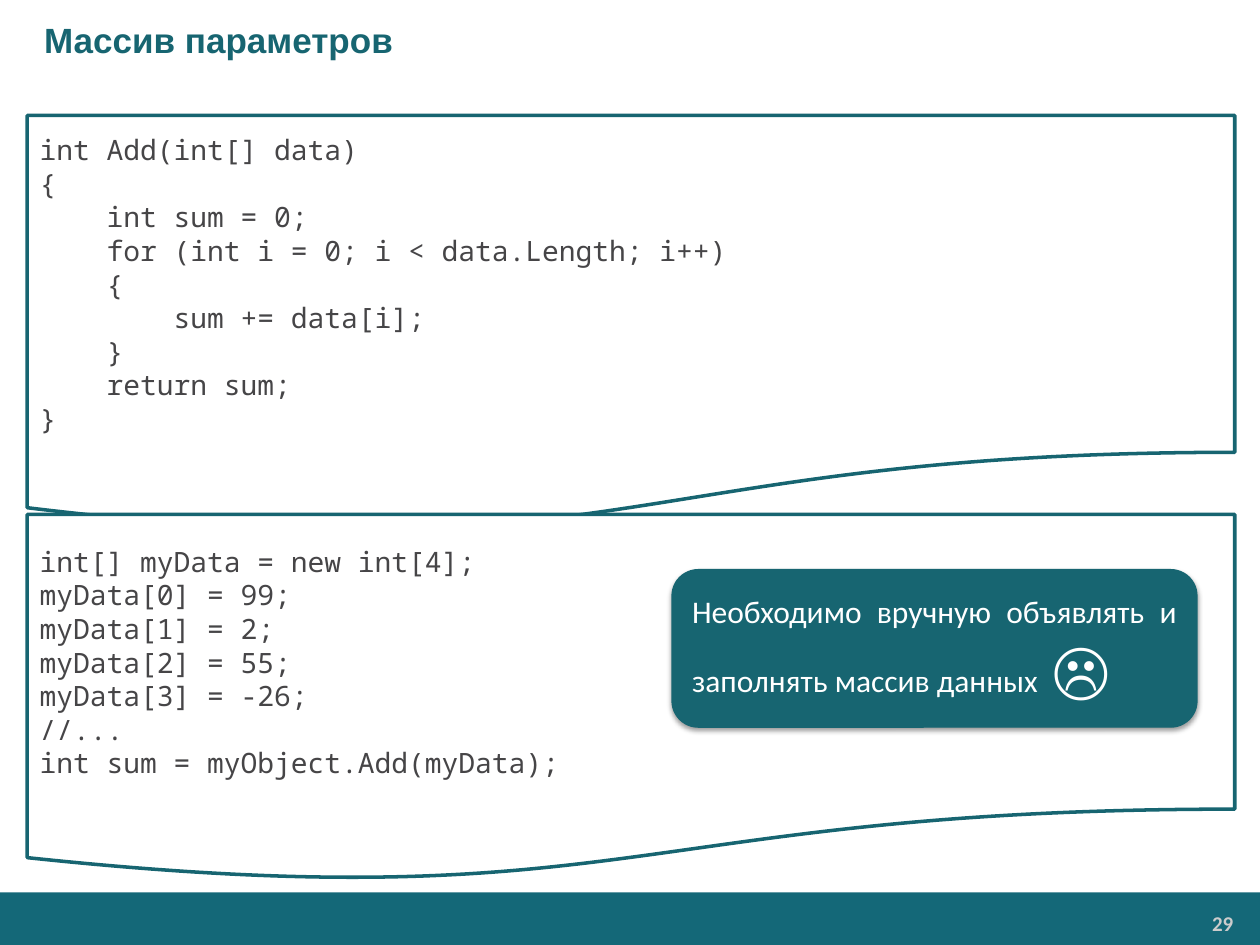
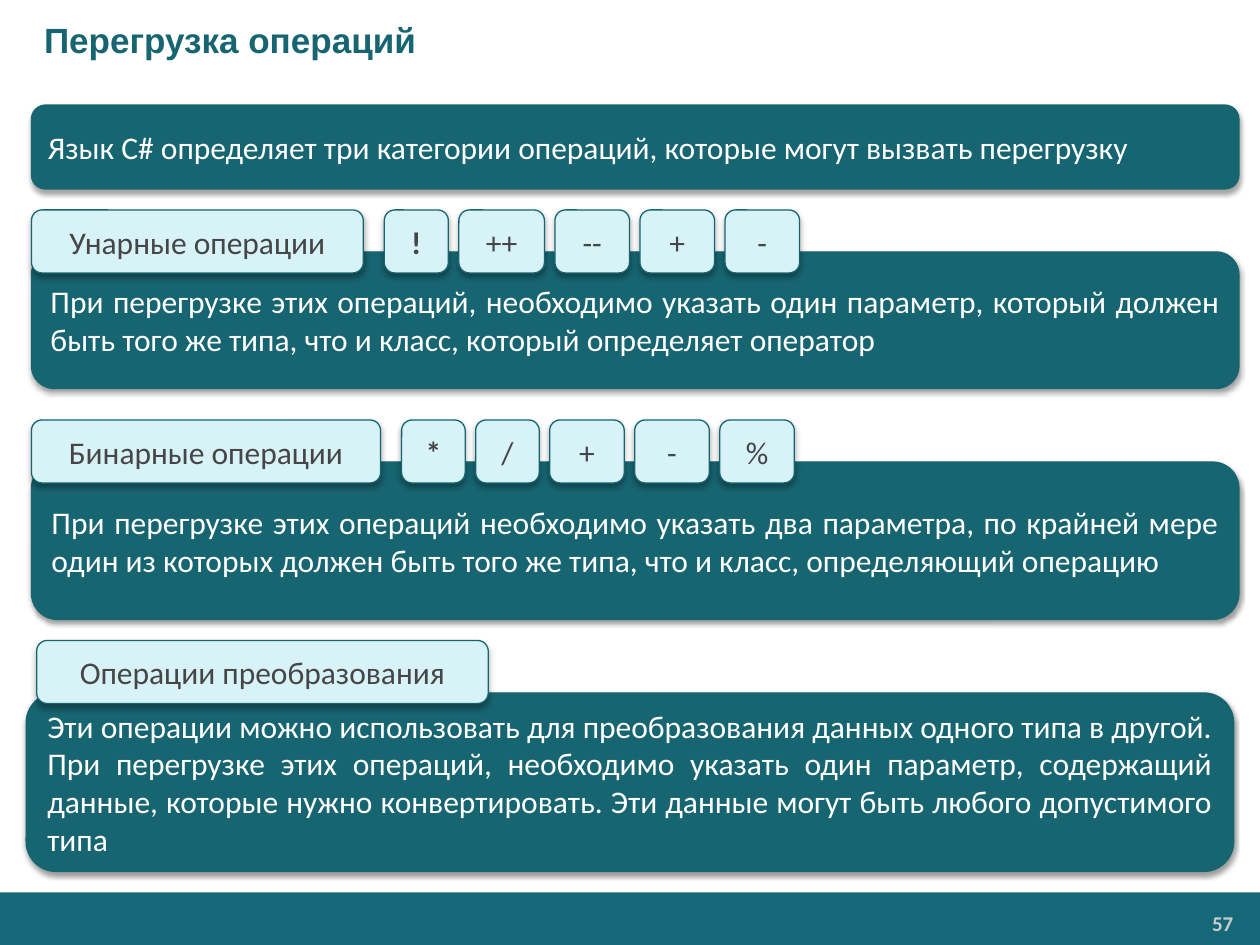
from typing import NamedTuple

from lxml.etree import SubElement
from pptx import Presentation
from pptx.dml.color import RGBColor
from pptx.enum.shapes import MSO_SHAPE
from pptx.enum.text import MSO_ANCHOR, MSO_AUTO_SIZE, PP_ALIGN
from pptx.oxml.ns import qn
from pptx.util import Inches, Pt

COLUMNS, ROWS = 120, 90
SLIDE_WIDTH, SLIDE_HEIGHT = Inches(10), Inches(7.5)

COLORS = {
    "teal": "176571",
    "band": "146878",
    "pale": "D7F3F7",
    "ink": "464547",
    "white": "FFFFFF",
    "number": "CCCCCC",
}
BANNER_SHADOW = (35, 3.1, 1.8)
CARD_SHADOW = (38, 3.1, 1.6)
CHIP_SHADOW = (32, 3.5, 2.2)

LABEL_HEIGHT = 6
LABEL_GAP = 2
CHIP_GAP = 1

ADD_METHOD = """int Add(int[] data)
{
    int sum = 0;
    for (int i = 0; i < data.Length; i++)
    {
        sum += data[i];
    }
    return sum;
}"""

ADD_CALL = """int[] myData = new int[4];
myData[0] = 99;
myData[1] = 2;
myData[2] = 55;
myData[3] = -26;
//...
int sum = myObject.Add(myData);"""


class Box(NamedTuple):
    column: float
    row: float
    width: float
    height: float

    def place(self):
        column, row = SLIDE_WIDTH / COLUMNS, SLIDE_HEIGHT / ROWS
        return (round(self.column * column), round(self.row * row),
                round(self.width * column), round(self.height * row))


class Category(NamedTuple):
    box: Box
    label: str
    label_width: float
    chips: list
    text: str
    label_shift: float = 0
    body_drop: float = 4


CATEGORIES = [
    Category(Box(3, 20, 115, 17), "Унарные операции", 31.6,
             [("!", 6.1), ("++", 8.15), ("--", 7.1), ("+", 7.1), ("-", 7.1)],
             "При перегрузке этих операций, необходимо указать один параметр, "
             "который должен быть того же типа, что и класс, который определяет оператор"),
    Category(Box(3, 40, 115, 19), "Бинарные операции", 33.25,
             [("*", 6.05), ("/", 6.05), ("+", 7.1), ("-", 7.1), ("%", 7.1)],
             "При перегрузке этих операций необходимо указать два параметра, "
             "по крайней мере один из которых должен быть того же типа, что и класс, "
             "определяющий операцию"),
    Category(Box(2.5, 61, 115, 22), "Операции преобразования", 43, [],
             "Эти операции можно использовать для преобразования данных одного типа "
             "в другой. При перегрузке этих операций, необходимо указать один параметр, "
             "содержащий данные, которые нужно конвертировать. Эти данные могут быть "
             "любого допустимого типа",
             label_shift=1, body_drop=5),
]


def color(name):
    return RGBColor.from_string(COLORS[name])


def add_run(paragraph, text, size, color_name, font="Calibri", bold=False):
    run = paragraph.add_run()
    run.text = text
    run.font.size = Pt(size)
    run.font.name = font
    run.font.bold = bold
    run.font.color.rgb = color(color_name)


def add_panel(shapes, kind, box, fill, line=None, line_width=0.75, shadow=None):
    shape = shapes.add_shape(kind, *box.place())
    shape.fill.solid()
    shape.fill.fore_color.rgb = color(fill)
    if line:
        shape.line.color.rgb = color(line)
        shape.line.width = Pt(line_width)
    else:
        shape.line.fill.background()
    shape.shadow.inherit = False
    if shadow:
        opacity, blur, distance = shadow
        effects = shape.element.spPr.find(qn("a:effectLst"))
        outer = SubElement(effects, qn("a:outerShdw"), blurRad=str(Pt(blur)),
                           dist=str(Pt(distance)), dir="5400000", rotWithShape="0")
        shade = SubElement(outer, qn("a:srgbClr"), val="000000")
        SubElement(shade, qn("a:alpha"), val=str(opacity * 1000))
    shape.text_frame.word_wrap = True
    shape.text_frame.vertical_anchor = MSO_ANCHOR.MIDDLE
    return shape


def add_card(shapes, box, runs, shadow=CARD_SHADOW):
    card = add_panel(shapes, MSO_SHAPE.ROUNDED_RECTANGLE, box, "teal", "teal", shadow=shadow)
    paragraph = card.text_frame.paragraphs[0]
    paragraph.alignment = PP_ALIGN.JUSTIFY
    for text, size in runs:
        add_run(paragraph, text, size, "white")


def add_chip(shapes, box, text, bold=False):
    chip = add_panel(shapes, MSO_SHAPE.ROUNDED_RECTANGLE, box, "pale", "teal", shadow=CHIP_SHADOW)
    paragraph = chip.text_frame.paragraphs[0]
    paragraph.alignment = PP_ALIGN.CENTER
    add_run(paragraph, text, 18, "ink", bold=bold)


def add_code(shapes, box, code):
    panel = add_panel(shapes, MSO_SHAPE.FLOWCHART_DOCUMENT, box, "white", "teal", 2)
    frame = panel.text_frame
    for index, line in enumerate(code.splitlines()):
        paragraph = frame.add_paragraph() if index else frame.paragraphs[0]
        paragraph.alignment = PP_ALIGN.LEFT
        add_run(paragraph, line, 16, "ink", "Noto Sans Mono")


def add_category(shapes, category):
    box = category.box
    group = shapes.add_group_shape().shapes
    body = Box(box.column, box.row + category.body_drop,
               box.width, box.height - category.body_drop)
    add_card(group, body, [(category.text, 18)])
    column = box.column + category.label_shift
    add_chip(group, Box(column, box.row, category.label_width, LABEL_HEIGHT), category.label)
    column += category.label_width + LABEL_GAP
    for index, (operator, width) in enumerate(category.chips):
        add_chip(group, Box(column, box.row, width, LABEL_HEIGHT), operator, bold=index == 0)
        column += width + CHIP_GAP


def add_title(shapes, box, text):
    frame = shapes.add_textbox(*box.place()).text_frame
    frame.word_wrap = True
    frame.vertical_anchor = MSO_ANCHOR.MIDDLE
    frame.margin_left = Inches(0.35)
    add_run(frame.paragraphs[0], text, 20, "teal", "Arial", True)


def add_footer(shapes, box, number):
    add_panel(shapes, MSO_SHAPE.RECTANGLE, box, "band")
    number_box = Box(box.column + 98.75, box.row + 1.25, 19.55, 3.35)
    frame = shapes.add_textbox(*number_box.place()).text_frame
    frame.word_wrap = True
    frame.auto_size = MSO_AUTO_SIZE.SHAPE_TO_FIT_TEXT
    frame.margin_left = frame.margin_right = Inches(0.07)
    frame.margin_top = frame.margin_bottom = Inches(0.04)
    paragraph = frame.paragraphs[0]
    paragraph.alignment = PP_ALIGN.RIGHT
    add_run(paragraph, str(number), 12, "number", bold=True)


def add_slide(presentation, title, number):
    slide = presentation.slides.add_slide(presentation.slide_layouts[6])
    add_footer(slide.shapes, Box(0, 85, COLUMNS, 5), number)
    add_title(slide.shapes, Box(0, 0, COLUMNS, 7.5), title)
    return slide.shapes


def add_parameter_array_slide(presentation):
    shapes = add_slide(presentation, "Массив параметров", 29)
    add_code(shapes, Box(2.6, 11, 115, 40), ADD_METHOD)
    add_code(shapes, Box(2.6, 49, 115, 35), ADD_CALL)
    add_card(shapes, Box(64, 54.25, 50, 15),
             [("Необходимо вручную объявлять и заполнять массив данных", 18), (" ☹", 36)])


def add_overloading_slide(presentation):
    shapes = add_slide(presentation, "Перегрузка операций", 57)
    add_card(shapes, Box(3, 10, 115, 8),
             [("Язык C# определяет три категории операций, "
               "которые могут вызвать перегрузку", 18)], BANNER_SHADOW)
    for category in CATEGORIES:
        add_category(shapes, category)


def main():
    presentation = Presentation()
    presentation.slide_width = SLIDE_WIDTH
    presentation.slide_height = SLIDE_HEIGHT
    add_parameter_array_slide(presentation)
    add_overloading_slide(presentation)
    presentation.save("out.pptx")


if __name__ == "__main__":
    main()
